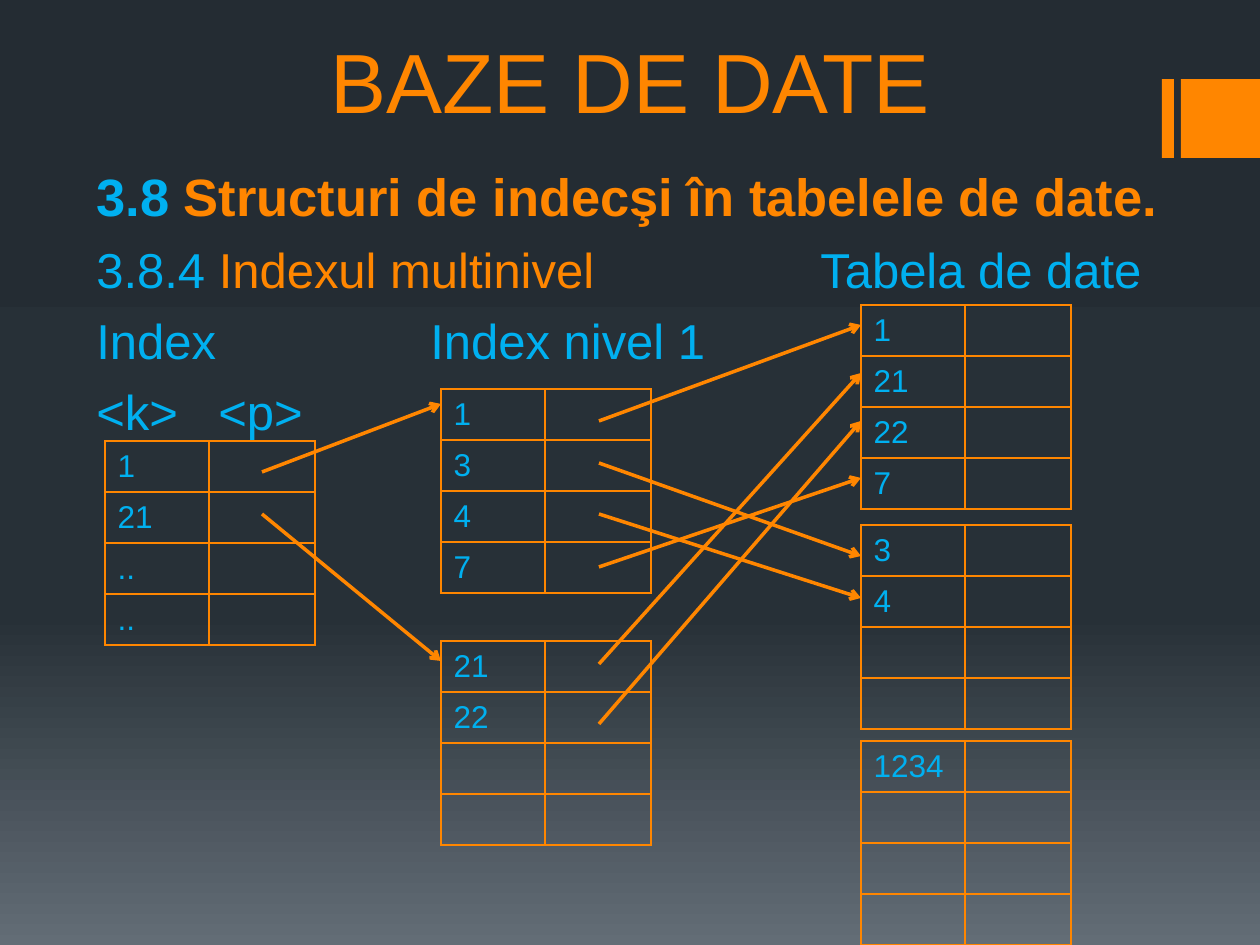
from copy import deepcopy

from lxml.etree import SubElement
from pptx import Presentation
from pptx.dml.color import RGBColor
from pptx.enum.shapes import MSO_CONNECTOR as CONNECTOR, MSO_SHAPE as SHAPE
from pptx.enum.text import MSO_ANCHOR as ANCHOR, PP_ALIGN as ALIGN
from pptx.oxml import parse_xml
from pptx.oxml.ns import nsdecls, qn
from pptx.util import Pt

PX = 914400 // 126
ORANGE = RGBColor(0xFF, 0x86, 0x00)
BLUE = RGBColor(0x00, 0xB0, 0xF0)
BACKDROP = [
    (0, RGBColor(0x24, 0x2C, 0x33)),
    (0.65, RGBColor(0x27, 0x30, 0x37)),
    (1, RGBColor(0x63, 0x6D, 0x76)),
]


def write(paragraph, *runs, size=28, bold=False, align=ALIGN.LEFT, before=0, tab=None):
    """Fill a paragraph with (text, colour) runs in one format."""
    paragraph.alignment = align
    paragraph.space_before = Pt(before)
    paragraph.font.size = Pt(size)
    if tab:
        tabs = SubElement(paragraph._p.get_or_add_pPr(), qn("a:tabLst"))
        SubElement(tabs, qn("a:tab"), pos=str(tab * PX), algn="l")
    for text, color in runs:
        run = paragraph.add_run()
        run.text = text
        run.font.name = "Arial"
        run.font.size = Pt(size)
        run.font.bold = bold
        run.font.color.rgb = color


def frame_cell(cell):
    """Leave a cell unfilled and draw its four borders."""
    cell.fill.background()
    properties = cell._tc.get_or_add_tcPr()
    for index, side in enumerate("LRTB"):
        properties.insert(index, parse_xml(
            f'<a:ln{side} {nsdecls("a")} w="{Pt(1)}"><a:solidFill>'
            f'<a:srgbClr val="{ORANGE}"/></a:solidFill></a:ln{side}>'))


deck = Presentation()
deck.slide_width, deck.slide_height = 1260 * PX, 945 * PX
slide = deck.slides.add_slide(deck.slide_layouts[6])

backdrop = slide.background.fill
backdrop.gradient()
backdrop.gradient_angle = 270
stop_list = slide._element.xpath(".//a:gsLst")[0]
stop_list.append(deepcopy(stop_list[-1]))
for stop, (position, color) in zip(backdrop.gradient_stops, BACKDROP):
    stop.position = position
    stop.color.rgb = color

for left, width in [(1162, 12), (1181, 79)]:
    accent = slide.shapes.add_shape(SHAPE.RECTANGLE, left * PX, 79 * PX, width * PX, 79 * PX)
    accent.shadow.inherit = False
    accent.fill.solid()
    accent.fill.fore_color.rgb = ORANGE
    accent.line.fill.background()

title = slide.shapes.add_textbox(95 * PX, 0, 1071 * PX, 137 * PX).text_frame
title.word_wrap = True
title.vertical_anchor = ANCHOR.BOTTOM
write(title.paragraphs[0], ("BAZE DE DATE", ORANGE), size=48, align=ALIGN.CENTER)

body = slide.shapes.add_textbox(84 * PX, 158 * PX, 1103 * PX, 703 * PX).text_frame
body.word_wrap = True
write(body.paragraphs[0], ("3.8 ", BLUE), ("Structuri de indecşi în tabelele de date.", ORANGE),
      size=30, bold=True, before=3)
write(body.add_paragraph(), ("3.8.4 ", BLUE), ("Indexul multinivel", ORANGE),
      ("\tTabela de date", BLUE), before=7, tab=724)
write(body.add_paragraph(), ("Index\tIndex nivel 1", BLUE), before=7, tab=334)
write(body.add_paragraph(), ("<k>\t<p>", BLUE), before=7, tab=122)

# Each index or data block: left, top, keys from the top row down
ROWS, ROW_HEIGHT, COLUMN_WIDTHS = 4, 51, (104, 106)
BLOCKS = [
    (105, 441, ["1", "21", "..", ".."]),
    (441, 389, ["1", "3", "4", "7"]),
    (441, 641, ["21", "22"]),
    (861, 741, ["1234"]),
    (861, 525, ["3", "4"]),
    (861, 305, ["1", "21", "22", "7"]),
]
for left, top, keys in BLOCKS:
    block = slide.shapes.add_table(ROWS, 2, left * PX, top * PX, sum(COLUMN_WIDTHS) * PX,
                                   ROWS * ROW_HEIGHT * PX).table
    block.first_row = block.horz_banding = False
    for column, width in zip(block.columns, COLUMN_WIDTHS):
        column.width = width * PX
    for cell in block.iter_cells():
        frame_cell(cell)
        cell.vertical_anchor = ANCHOR.MIDDLE
        cell.text_frame.paragraphs[0].font.size = Pt(18)
    for row, key in enumerate(keys):
        write(block.cell(row, 0).text_frame.paragraphs[0], (key, BLUE), size=18)

# Pointers between levels: start x, end x, (start y, end y) pairs
POINTERS = [
    (262, 441, [(472, 404), (514, 661)]),
    (599, 861, [(421, 325), (463, 556), (514, 598), (567, 478), (664, 373), (724, 421)]),
]
for start_x, end_x, heights in POINTERS:
    for start_y, end_y in heights:
        pointer = slide.shapes.add_connector(CONNECTOR.STRAIGHT, start_x * PX, start_y * PX,
                                             end_x * PX, end_y * PX)
        pointer.line.color.rgb = ORANGE
        pointer.line.width = Pt(2)
        SubElement(pointer.line._get_or_add_ln(), qn("a:tailEnd"), type="arrow")
        SubElement(pointer._element.spPr, qn("a:effectLst"))

deck.save("out.pptx")
